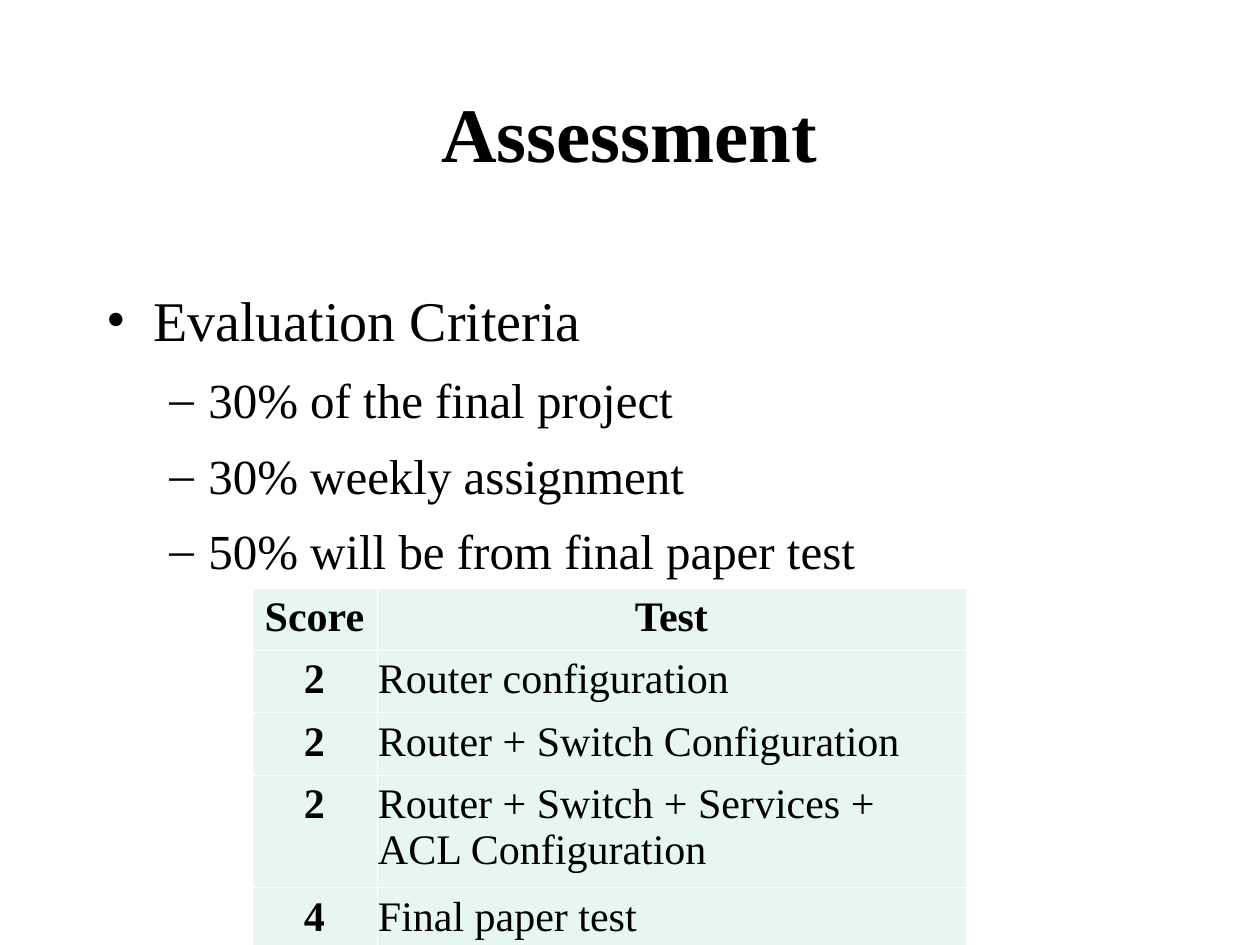
from pptx import Presentation
from pptx.util import Emu, Pt
from pptx.dml.color import RGBColor as RGB
from pptx.enum.text import PP_ALIGN as AL, MSO_ANCHOR as ANC
from pptx.oxml.ns import qn
from lxml.etree import SubElement as Sub

C = {"text": "000000", "cell": "E7F6EF", "border": "FFFFFF"}
FONT = "Times New Roman"


def px(n):
    return Emu(n * 914400 // 126)


def style(p, size, bold=False, align=AL.LEFT):
    p.alignment = align
    for key, value in {"name": FONT, "size": Pt(size), "bold": bold}.items():
        setattr(p.font, key, value)
    p.font.color.rgb = RGB.from_string(C["text"])


prs = Presentation()
prs.slide_width, prs.slide_height = px(1260), px(945)
s = prs.slides.add_slide(prs.slide_layouts[5])

title = s.shapes.title
title.left, title.top, title.width, title.height = [px(n) for n in (94, 53, 1071, 158)]
tf = title.text_frame
tf.text = "Assessment"
tf.vertical_anchor = ANC.MIDDLE
style(tf.paragraphs[0], 44, True, AL.CENTER)

body = s.shapes.add_textbox(px(94), px(273), px(1071), px(567))
tf = body.text_frame
tf.word_wrap = True
tf.margin_top = px(13)
levels = [
    {"size": 32, "bullet": "•", "left": 47, "hang": 47},
    {"size": 28, "bullet": "–", "left": 102, "hang": 39},
]
criteria = [
    (0, "Evaluation Criteria"),
    (1, "30% of the final project"),
    (1, "30% weekly assignment"),
    (1, "50% will be from final paper test"),
]
for i, (level, text) in enumerate(criteria):
    p = tf.add_paragraph() if i else tf.paragraphs[0]
    fmt = levels[level]
    p.text = text
    p.level = level
    p.space_before = Pt(9.5 if i else 0)
    pPr = p._p.get_or_add_pPr()
    pPr.set("marL", str(px(fmt["left"])))
    pPr.set("indent", str(-px(fmt["hang"])))
    Sub(pPr, qn("a:buFont"), typeface=FONT)
    Sub(pPr, qn("a:buChar"), char=fmt["bullet"])
    style(p, fmt["size"])

rows = [
    ("Score", "Test"),
    ("2", "Router configuration"),
    ("2", "Router + Switch Configuration"),
    ("2", "Router + Switch + Services + ACL Configuration"),
    ("4", "Final paper test"),
]
heights = [52, 52, 52, 102, 52]
table = s.shapes.add_table(5, 2, px(252), px(588), px(714), px(sum(heights))).table
for col, width in zip(table.columns, (125, 589)):
    col.width = px(width)
for r, (row, height) in enumerate(zip(rows, heights)):
    table.rows[r].height = px(height)
    for c, text in enumerate(row):
        cell = table.cell(r, c)
        cell.text = text
        cell.margin_left = cell.margin_right = px(1)
        cell.margin_top = cell.margin_bottom = px(6)
        head = r == 0 or c == 0
        style(cell.text_frame.paragraphs[0], 24, head, AL.CENTER if head else AL.LEFT)
        tcPr = cell._tc.get_or_add_tcPr()
        for side in ("lnL", "lnR", "lnT", "lnB"):
            ln = Sub(tcPr, qn("a:" + side), w=str(Pt(0.45)))
            Sub(Sub(ln, qn("a:solidFill")), qn("a:srgbClr"), val=C["border"])
        cell.fill.solid()
        cell.fill.fore_color.rgb = RGB.from_string(C["cell"])

prs.save("out.pptx")
